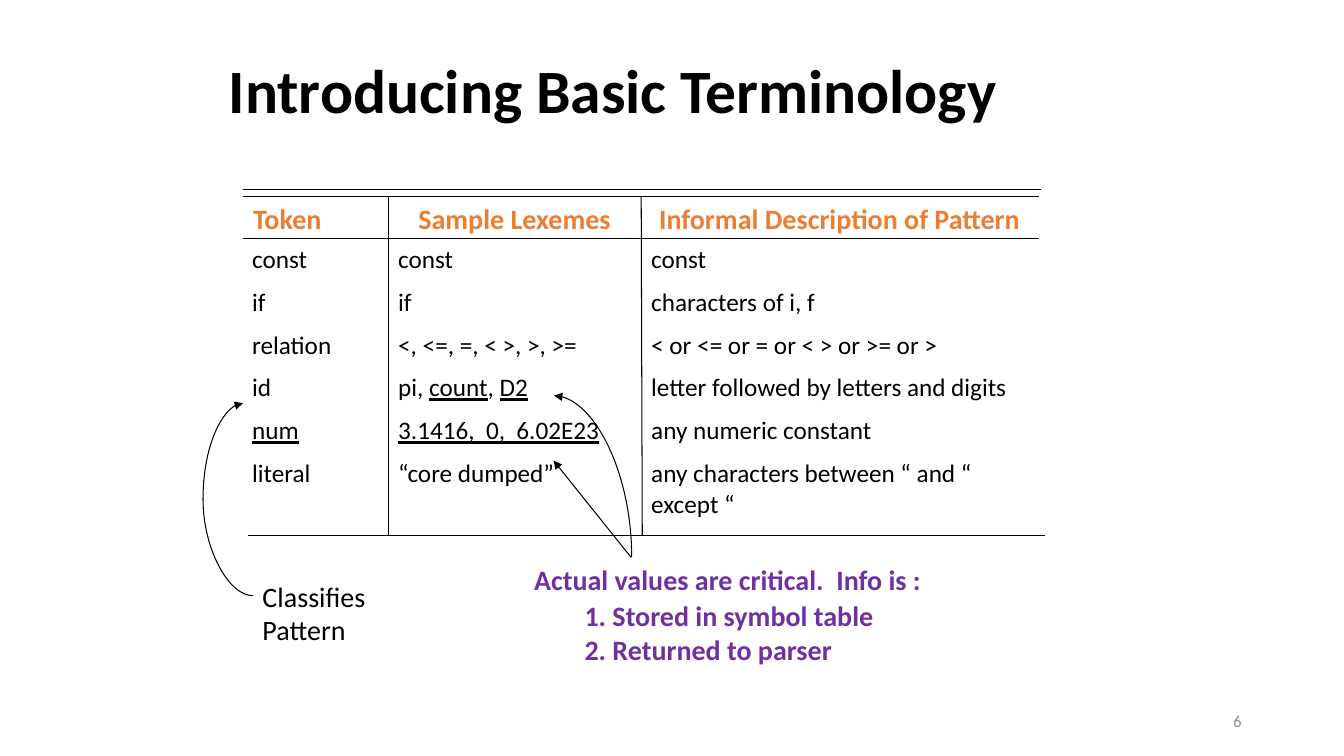
from lxml.etree import Element, SubElement
from pptx import Presentation
from pptx.dml.color import RGBColor
from pptx.enum.shapes import MSO_CONNECTOR
from pptx.enum.text import MSO_ANCHOR, PP_ALIGN
from pptx.oxml.ns import qn
from pptx.util import Inches, Pt

FONT = "Calibri"
BLACK, ORANGE, PURPLE, GREY = "000000", "ED7D31", "7030A0", "8C8C8C"
LINE_WIDTH = Pt(0.75)


def color(value):
    return RGBColor.from_string(value)


class Deck:
    """Style and current slide; lengths are percent of the slide's width or height."""

    def __init__(self, width, height):
        self.prs = Presentation()
        self.prs.slide_width, self.prs.slide_height = Inches(width), Inches(height)
        self.s = self.prs.slides.add_slide(self.prs.slide_layouts[6])

    def x(self, share):
        return round(self.prs.slide_width * share / 100)

    def y(self, share):
        return round(self.prs.slide_height * share / 100)

    def paragraph(self, p, text, size, fill=BLACK, bold=False):
        """Fill a paragraph; words between underscores are underlined."""
        p.font.name, p.font.size, p.font.bold = FONT, Pt(size), bold
        p.font.color.rgb = color(fill)
        for i, part in enumerate(text.split("_")):
            if part:
                r = p.add_run()
                r.text = part
                if i % 2:
                    r.font.underline = True

    def text(self, left, top, width, height, lines, size, fill=BLACK, bold=False,
             anchor=MSO_ANCHOR.TOP, align=PP_ALIGN.LEFT, spacing=1.0):
        sp = self.s.shapes.add_textbox(self.x(left), self.y(top), self.x(width), self.y(height))
        tf = sp.text_frame
        tf.word_wrap, tf.vertical_anchor = True, anchor
        for i, line in enumerate(lines):
            p = tf.add_paragraph() if i else tf.paragraphs[0]
            p.alignment, p.line_spacing = align, spacing
            self.paragraph(p, line, size, fill, bold)
        return tf

    def line(self, left, top, right, bottom, kind=MSO_CONNECTOR.STRAIGHT, arrow=False):
        c = self.s.shapes.add_connector(
            kind, self.x(left), self.y(top), self.x(right), self.y(bottom))
        c.line.width, c.line.color.rgb = LINE_WIDTH, color(BLACK)
        if arrow:
            SubElement(c.line._get_or_add_ln(), qn("a:tailEnd"), type="triangle")
        SubElement(c._element.spPr, qn("a:effectLst"))
        return c

    def curve(self, left, top, width, height, preset, turn, flip=False, bend=None):
        """Curved arrow given by its box before it is turned."""
        c = self.line(left, top, left + width, top + height, MSO_CONNECTOR.CURVE, arrow=True)
        xfrm = c._element.spPr.find(qn("a:xfrm"))
        xfrm.set("rot", str(turn * 60000))
        if flip:
            xfrm.set("flipV", "1")
        geom = c._element.spPr.find(qn("a:prstGeom"))
        geom.set("prst", preset)
        if bend:
            SubElement(geom.find(qn("a:avLst")), qn("a:gd"), name="adj1",
                       fmla=f"val {round(bend * 100000)}")

    def clear_borders(self, cell):
        tc_pr = cell._tc.get_or_add_tcPr()
        for i, side in enumerate("LRTB"):
            ln = Element(qn(f"a:ln{side}"))
            SubElement(ln, qn("a:noFill"))
            tc_pr.insert(i, ln)

    def table(self, left, top, widths, heights, rows, header_indents, indents):
        frame = self.s.shapes.add_table(
            len(rows), len(widths), self.x(left), self.y(top),
            self.x(sum(widths)), self.y(sum(heights)))
        t = frame.table
        t.first_row = t.horz_banding = False
        for column, width in zip(t.columns, widths):
            column.width = self.x(width)
        for row, height in zip(t.rows, heights):
            row.height = self.y(height)
        for i, row in enumerate(rows):
            for j, value in enumerate(row):
                cell = t.cell(i, j)
                cell.fill.background()
                self.clear_borders(cell)
                cell.margin_left = self.x(indents[j] if i else header_indents[j])
                cell.margin_right = cell.margin_bottom = 0
                cell.margin_top = self.y(0.88 if i else 0.78)
                p = cell.text_frame.paragraphs[0]
                if i:
                    self.paragraph(p, value, 18)
                else:
                    self.paragraph(p, value, 20, ORANGE, bold=True)


def main():
    deck = Deck(13.33, 7.5)

    # Title
    deck.text(16.28, 4, 66.17, 16.67, ["Introducing Basic Terminology"], 44, bold=True,
              anchor=MSO_ANCHOR.MIDDLE, spacing=0.9)

    # Token table
    rows = [
        ("Token", "Sample Lexemes", "Informal Description of Pattern"),
        ("const", "const", "const"),
        ("if", "if", "characters of i, f"),
        ("relation", "<, <=, =, < >, >, >=", "< or <= or = or < > or >= or >"),
        ("id", "pi, _count_, _D2_", "letter followed by letters and digits"),
        ("_num_", "_3.1416,  0,  6.02E23_", "any numeric constant"),
        ("literal", "“core dumped”", "any characters between “ and “ except “"),
    ]
    deck.table(18.08, 26, [10.8, 18.83, 29.63], [5.47] + [5.66] * 5 + [11.03], rows,
               header_indents=[0.75, 2.25, 1.33], indents=[0.68, 0.75, 0.75])

    # Rules of the table: double top, header, bottom, then column rules
    for left, right, y in [(18.08, 77.49, 25.07), (18.08, 77.34, 26),
                           (18.08, 77.34, 31.52), (18.45, 77.72, 70.85)]:
        deck.line(left, y, right, y)
    for top_x, bottom_x in [(28.88, 28.88), (47.71, 47.79)]:
        deck.line(top_x, 26, bottom_x, 70.85)

    # Notes below the table
    deck.text(18.79, 75.95, 12.3, 10.27, ["Classifies Pattern"], 20)
    tf = deck.text(39, 73.73, 34.73, 16,
                   ["Actual values are critical.  Info is :",
                    "1. Stored in symbol table", "2. Returned to parser"],
                   20, PURPLE, bold=True)
    for p in tf.paragraphs[1:]:
        p.level, p.line_spacing, p.space_before = 1, 0.6, Pt(10)

    # Arrows from the notes to the table
    deck.curve(18.08, 53.33, 0.75, 25.47, "curvedConnector3", 180, bend=4.97)
    deck.line(46.96, 73.73, 41.19, 60.93, arrow=True)
    deck.curve(38.11, 57.87, 12, 10.27, "curvedConnector2", 270, flip=True)

    # Page number
    deck.text(70.63, 92.67, 22.5, 5.33, ["6"], 12, GREY,
              anchor=MSO_ANCHOR.MIDDLE, align=PP_ALIGN.RIGHT)

    deck.prs.save("out.pptx")


if __name__ == "__main__":
    main()
